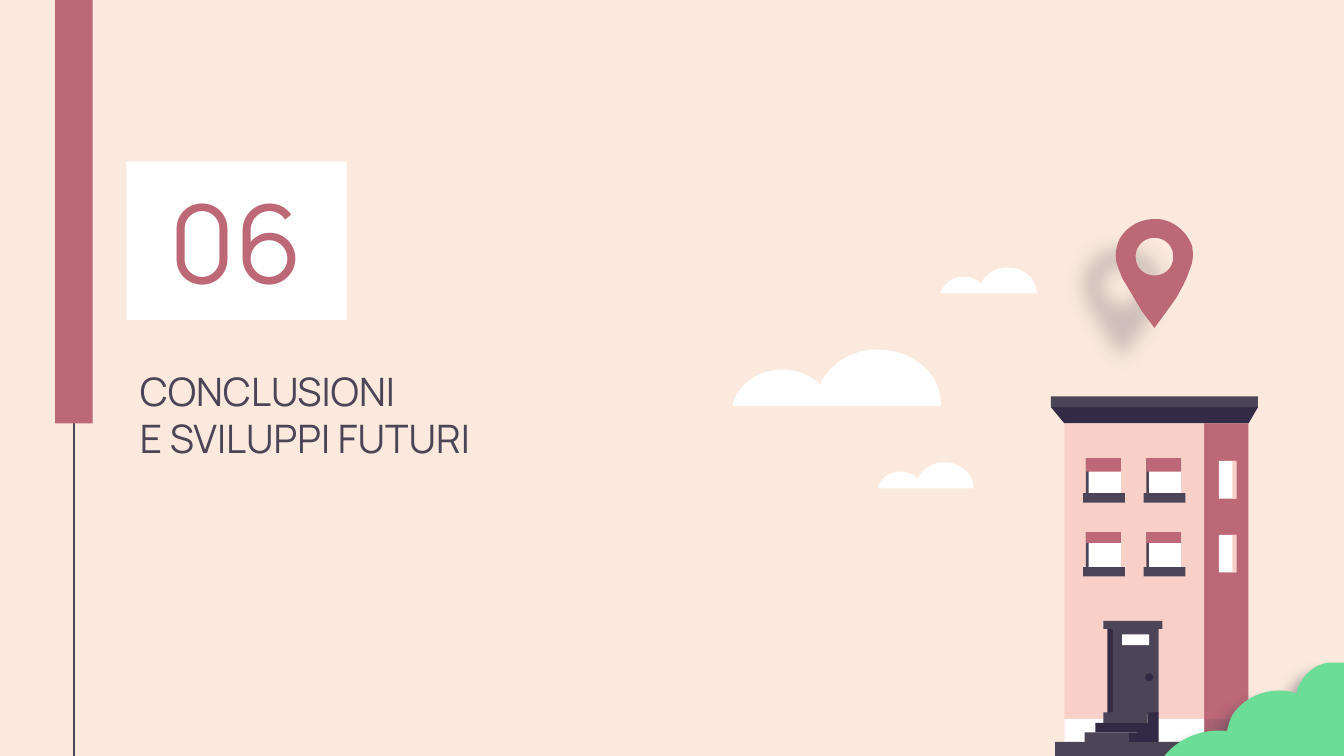
"""Build the section slide "06 Conclusioni e sviluppi futuri" with its townhouse scene."""
from dataclasses import dataclass
from typing import Optional

from lxml import etree
from pptx import Presentation
from pptx.dml.color import RGBColor
from pptx.enum.shapes import MSO_CONNECTOR, MSO_SHAPE
from pptx.enum.text import MSO_ANCHOR, MSO_AUTO_SIZE, PP_ALIGN
from pptx.oxml.ns import qn
from pptx.util import Inches, Pt

RECT = MSO_SHAPE.RECTANGLE
OVAL = MSO_SHAPE.OVAL
STRAIGHT = MSO_CONNECTOR.STRAIGHT
TOP, MIDDLE = MSO_ANCHOR.TOP, MSO_ANCHOR.MIDDLE
LEFT, CENTER = PP_ALIGN.LEFT, PP_ALIGN.CENTER
NO_FIT = MSO_AUTO_SIZE.NONE

CREAM = RGBColor(0xFA, 0xE9, 0xDC)
ROSE = RGBColor(0xBD, 0x68, 0x77)
PINK = RGBColor(0xF9, 0xD0, 0xC8)
SLATE = RGBColor(0x4C, 0x45, 0x57)
SHADE = RGBColor(0x4E, 0x49, 0x58)
NIGHT = RGBColor(0x33, 0x2B, 0x45)
WHITE = RGBColor(0xFF, 0xFF, 0xFF)
GREEN = RGBColor(0x6B, 0xDD, 0x96)
FONT = "Manrope"
CURVE_STEPS = 12

CLOUD = [(1.55, 0.42), (1.55, 0.4), (1.55, 0.18, 1.34, 0, 1.08, 0), (0.88, 0, 0.72, 0.11, 0.65, 0.26),
         (0.58, 0.19, 0.48, 0.15, 0.37, 0.15), (0.18, 0.15, 0.03, 0.27, 0, 0.42)]
BUSH = [(10, 4.93), (10, 5.63), (8.66, 5.63), (8.77, 5.49, 8.95, 5.42, 9.13, 5.44),
        (9.14, 5.4, 9.15, 5.36, 9.17, 5.32), (9.27, 5.17, 9.47, 5.1, 9.65, 5.16),
        (9.65, 5.12, 9.67, 5.09, 9.69, 5.06), (9.73, 4.99, 9.81, 4.94, 9.89, 4.93)]
PIN = [(8.59, 1.63), (8.48, 1.63, 8.38, 1.69, 8.33, 1.78), (8.3, 1.85, 8.29, 1.92, 8.32, 1.99),
       (8.33, 2.02, 8.34, 2.04, 8.35, 2.07), (8.4, 2.15, 8.45, 2.24, 8.5, 2.32),
       (8.53, 2.36, 8.56, 2.4, 8.59, 2.44), (8.65, 2.36, 8.7, 2.29, 8.75, 2.22),
       (8.79, 2.15, 8.83, 2.08, 8.85, 2.01), (8.88, 1.95, 8.88, 1.89, 8.87, 1.83),
       (8.83, 1.72, 8.73, 1.64, 8.62, 1.63)]
PIN_HOLE = [(8.59, 1.77), (8.67, 1.77, 8.73, 1.83, 8.73, 1.91), (8.73, 1.99, 8.67, 2.05, 8.59, 2.05),
            (8.51, 2.05, 8.45, 1.99, 8.45, 1.91), (8.45, 1.83, 8.51, 1.77, 8.59, 1.77)]


@dataclass(frozen=True)
class Block:
    x: float
    y: float
    w: float
    h: float
    color: RGBColor
    alpha: Optional[int] = None


@dataclass(frozen=True)
class Shadow:
    alpha: int
    blur: float
    distance: float
    angle: int = 138


WALLS = [
    Block(8.96, 3.15, 0.33, 2.48, ROSE),
    Block(7.92, 3.15, 1.04, 2.48, PINK),
    Block(7.82, 2.95, 1.54, 0.08, SLATE),
    Block(7.92, 5.35, 1.04, 0.27, WHITE),
    Block(8.96, 5.35, 0.33, 0.27, SHADE, 17),
    Block(7.85, 5.52, 1.51, 0.11, SLATE),
    Block(9.01, 5.52, 0.35, 0.11, NIGHT, 57),
]
DOOR = [
    Block(8.24, 4.68, 0.38, 0.63, NIGHT),
    Block(8.28, 4.68, 0.34, 0.63, SLATE),
    Block(8.35, 4.72, 0.2, 0.08, WHITE),
    Block(8.21, 4.62, 0.44, 0.06, SLATE),
]
STEPS = [
    Block(8.07, 5.45, 0.33, 0.07, SLATE),
    Block(8.15, 5.38, 0.31, 0.07, NIGHT),
    Block(8.21, 5.3, 0.33, 0.08, SLATE),
]
STAIR_SIDE = [(8.54, 5.3), (8.54, 5.38), (8.46, 5.38), (8.46, 5.45), (8.4, 5.45),
              (8.4, 5.52), (8.62, 5.52), (8.62, 5.3)]


def paint(sp, color: RGBColor, alpha: Optional[int] = None) -> None:
    sp.shadow.inherit = False
    sp.line.fill.background()
    sp.fill.solid()
    sp.fill.fore_color.rgb = color
    if alpha is not None:
        clr = sp._element.spPr.find(qn("a:solidFill"))[0]
        etree.SubElement(clr, qn("a:alpha"), val=str(alpha * 1000))


def add_block(shapes, block: Block, kind=RECT):
    sp = shapes.add_shape(kind, Inches(block.x), Inches(block.y), Inches(block.w), Inches(block.h))
    paint(sp, block.color, block.alpha)
    return sp


def flatten(outline: list) -> list:
    """Turn corners and cubic curves, given in inches, into points."""
    points = [outline[0]]
    for seg in outline[1:]:
        if len(seg) == 2:
            points.append(seg)
            continue
        x0, y0 = points[-1]
        x1, y1, x2, y2, x3, y3 = seg
        for i in range(1, CURVE_STEPS + 1):
            t = i / CURVE_STEPS
            a, b, c, d = (1 - t) ** 3, 3 * t * (1 - t) ** 2, 3 * t * t * (1 - t), t ** 3
            points.append((a * x0 + b * x1 + c * x2 + d * x3, a * y0 + b * y1 + c * y2 + d * y3))
    return [(Inches(x), Inches(y)) for x, y in points]


def add_outline(shapes, outlines: list, color: RGBColor, shadow: Optional[Shadow] = None) -> None:
    first, *others = [flatten(outline) for outline in outlines]
    builder = shapes.build_freeform(*first[0])
    builder.add_line_segments(first[1:])
    for points in others:
        builder.move_to(*points[0])
        builder.add_line_segments(points[1:])
    sp = builder.convert_to_shape()
    paint(sp, color)
    if shadow:
        effects = sp._element.spPr.find(qn("a:effectLst"))
        outer = etree.SubElement(effects, qn("a:outerShdw"), blurRad=str(Pt(shadow.blur)),
                                 dist=str(Pt(shadow.distance)), dir=str(shadow.angle * 60000),
                                 algn="bl", rotWithShape="0")
        clr = etree.SubElement(outer, qn("a:srgbClr"), val=str(SLATE))
        etree.SubElement(clr, qn("a:alpha"), val=str(shadow.alpha * 1000))


def add_cloud(shapes, x: float, y: float, scale: float) -> None:
    outline = [tuple(v * scale + (y if i % 2 else x) for i, v in enumerate(seg)) for seg in CLOUD]
    add_outline(shapes, [outline], WHITE)


def add_window(shapes, x: float, y: float, blind: float) -> None:
    for block in (Block(x, y, 0.26, 0.26, SLATE), Block(x + 0.02, y, 0.24, 0.26, WHITE),
                  Block(x, y, 0.26, blind, ROSE), Block(x - 0.02, y + 0.26, 0.31, 0.07, SLATE)):
        add_block(shapes, block)


def add_side_window(shapes, y: float) -> None:
    add_block(shapes, Block(9.07, y, 0.13, 0.28, WHITE))
    add_block(shapes, Block(9.17, y, 0.03, 0.28, PINK))


def write(sp, lines: list, size: float, color: RGBColor, align, anchor) -> None:
    tf = sp.text_frame
    tf.word_wrap, tf.auto_size, tf.vertical_anchor = True, NO_FIT, anchor
    tf.margin_left = tf.margin_right = tf.margin_top = tf.margin_bottom = Inches(0.1)
    for i, line in enumerate(lines):
        p = tf.add_paragraph() if i else tf.paragraphs[0]
        p.alignment, p.line_spacing = align, 1.0
        r = p.add_run()
        r.text = line
        r.font.name, r.font.size, r.font.color.rgb = FONT, Pt(size), color


def main() -> None:
    prs = Presentation()
    prs.slide_width = Inches(10)
    prs.slide_height = prs.slide_width * 9 // 16
    s = prs.slides.add_slide(prs.slide_layouts[5])
    s.background.fill.solid()
    s.background.fill.fore_color.rgb = CREAM
    shapes = s.shapes

    rule = shapes.add_connector(STRAIGHT, Inches(0.55), 0, Inches(0.55), prs.slide_height)
    rule.line.color.rgb, rule.line.width = SLATE, Pt(0.75)
    etree.SubElement(rule._element.spPr, qn("a:effectLst"))
    add_block(shapes, Block(0.41, 0, 0.28, 3.15, ROSE))

    title = shapes.title
    title.left, title.top, title.width, title.height = map(Inches, (0.94, 2.63, 5.37, 0.51))
    write(title, ["CONCLUSIONI", "E SVILUPPI FUTURI"], 21, SLATE, LEFT, TOP)
    number = add_block(shapes, Block(0.94, 1.2, 1.64, 1.18, WHITE))
    write(number, ["06"], 58, ROSE, CENTER, MIDDLE)

    for x, y, scale in ((6.53, 3.44, 0.46), (7, 1.99, 0.46), (5.45, 2.6, 1)):
        add_cloud(shapes, x, y, scale)
    add_outline(shapes, [[(7.82, 3.03), (9.36, 3.03), (9.29, 3.15), (7.92, 3.15)]], NIGHT)
    for block in WALLS + DOOR:
        add_block(shapes, block)
    for y, blind in ((3.41, 0.1), (3.96, 0.08)):
        add_side_window(shapes, y + 0.02)
        for x in (8.08, 8.53):
            add_window(shapes, x, y, blind)
    add_outline(shapes, [STAIR_SIDE], NIGHT)
    for step in STEPS:
        add_block(shapes, step)
    add_block(shapes, Block(8.52, 5.01, 0.06, 0.06, NIGHT), OVAL)
    add_outline(shapes, [BUSH], GREEN, Shadow(41, 6.8, 8.2))
    add_outline(shapes, [PIN_HOLE, PIN], ROSE, Shadow(25, 10.1, 23.2))
    prs.save("out.pptx")


if __name__ == "__main__":
    main()
